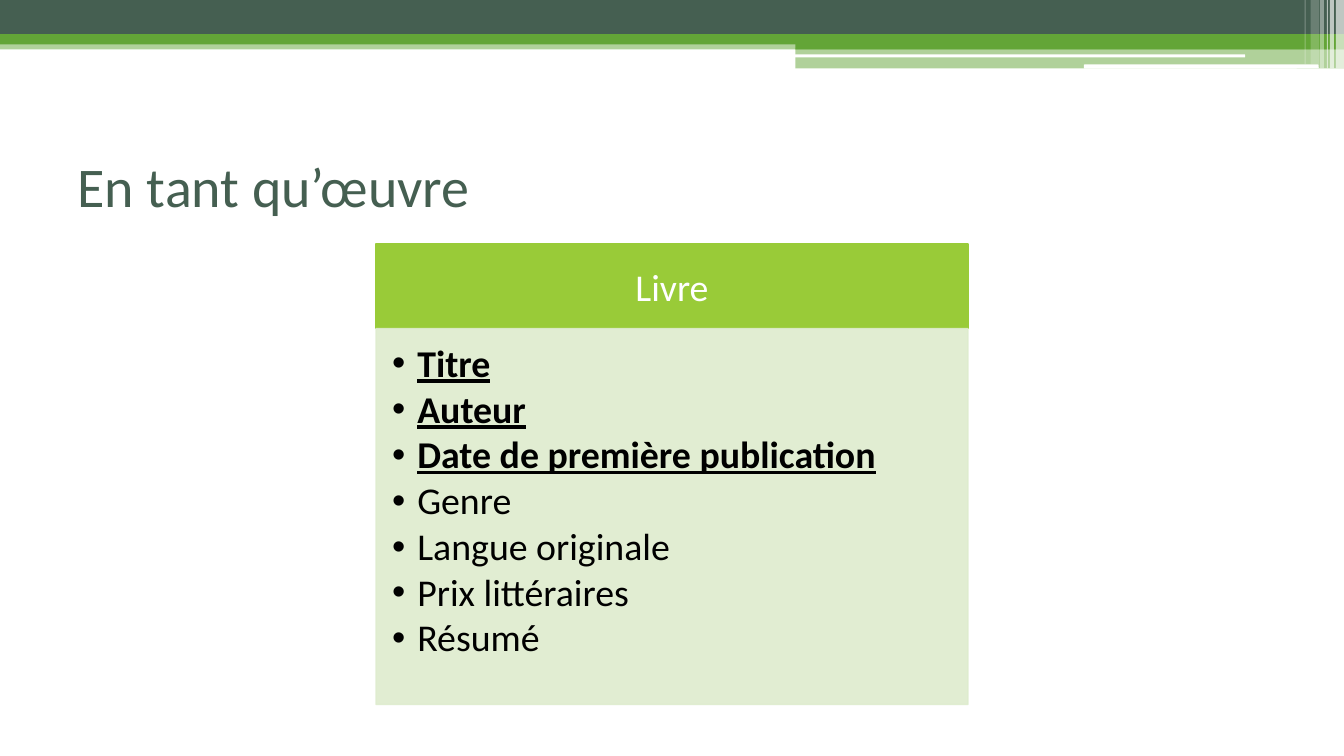
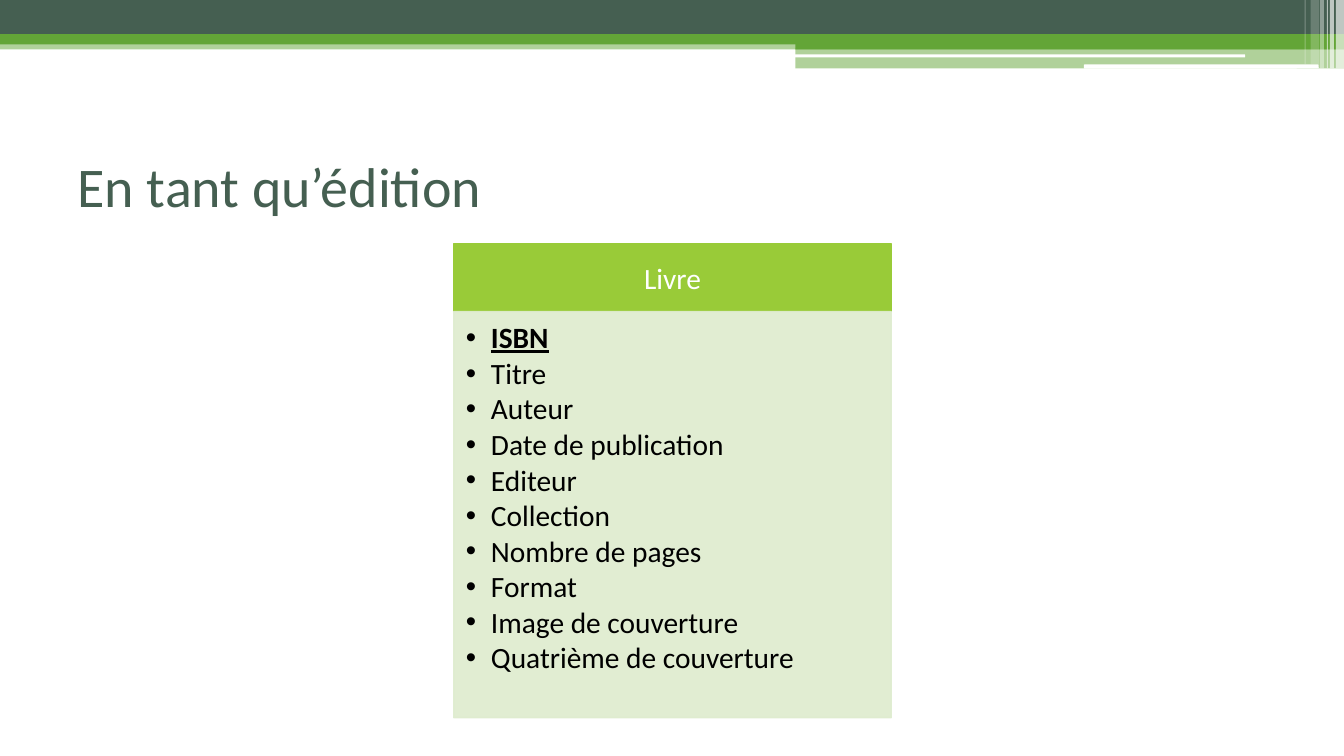
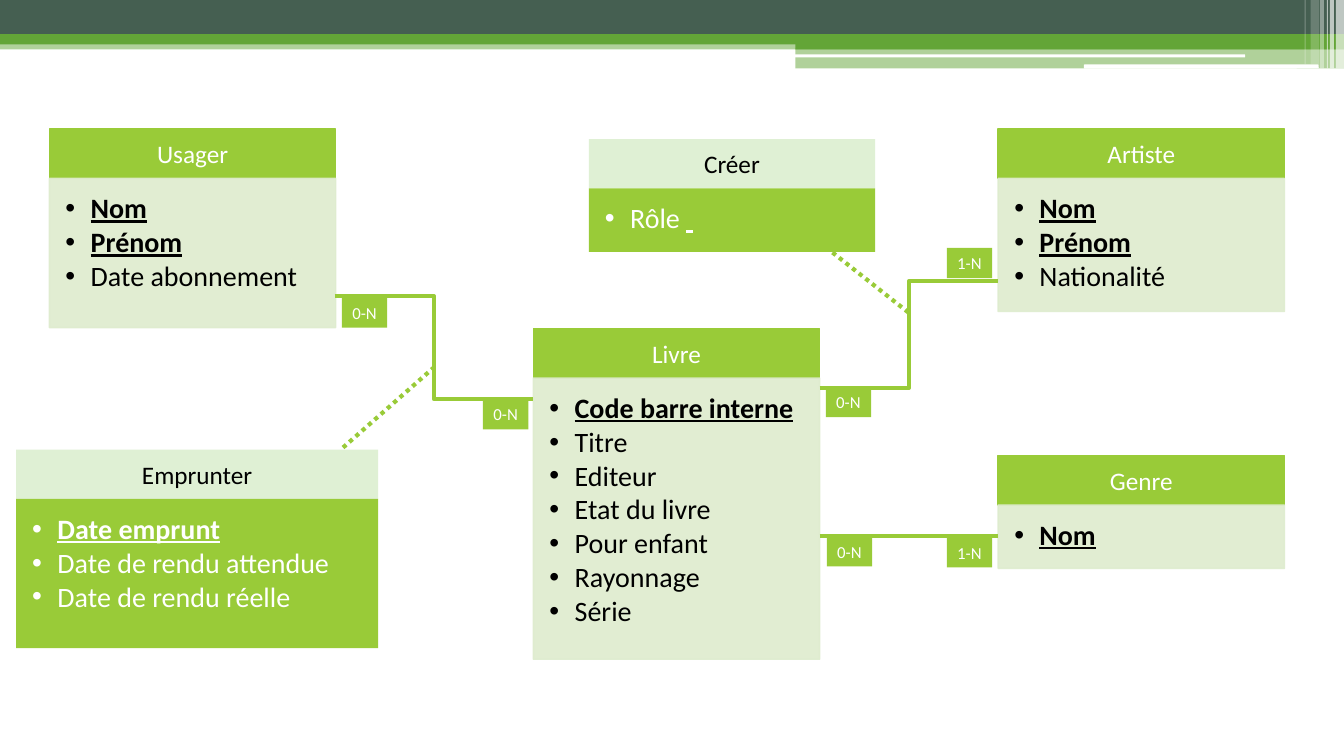
import pptx
import pptx.util
import pptx.dml.color
import pptx.enum.dml
import pptx.enum.shapes
import pptx.enum.text
import pptx.oxml.ns
import lxml.etree

PX = 9144
RGB = pptx.dml.color.RGBColor
DARK = RGB(0x45, 0x5F, 0x51)
LEAF = RGB(0x63, 0xA5, 0x37)
LIME = RGB(0x99, 0xCB, 0x38)
PALE = RGB(0xDE, 0xEC, 0xCE)
MINT = RGB(0xDF, 0xF0, 0xD4)
WHITE = RGB(0xFF, 0xFF, 0xFF)
BLACK = RGB(0, 0, 0)
FONT = "Calibri"
SHAPE = pptx.enum.shapes.MSO_SHAPE
LINK = pptx.enum.shapes.MSO_CONNECTOR
ANCHOR = pptx.enum.text.MSO_ANCHOR
ALIGN = pptx.enum.text.PP_ALIGN

ENTITY = {"head": LIME, "head_ink": WHITE, "body": PALE, "body_ink": BLACK,
          "alpha": 90, "line": True}
ASSOCIATION = {"head": MINT, "head_ink": BLACK, "body": LIME, "body_ink": WHITE,
               "alpha": 100, "line": False}

BANDS = [
    ((0, 40, 1333, 9), LEAF, 50),
    ((0, 0, 1333, 34), DARK, 100),
    ((0, 34, 1333, 10), LEAF, 100),
    ((789, 39, 544, 10), LEAF, 100),
    ((789, 48, 544, 20), LEAF, 50),
]
GROOVES = [(788, 54, 447, 3), (1075, 64, 233, 4)]
STRIPES = [(1325, 8, 68, 65), (1319, 4, 68, 65), (1316, 1, 68, 60),
           (1309, 4, 68, 40), (1300, 8, 64, 20), (1294, 1, 64, 30)]


def px(*values):
    """Turn px lengths into EMU."""
    return [round(v * PX) for v in values]


def apply(target, values):
    """Set every attribute named in a dict."""
    for name, value in values.items():
        setattr(target, name, value)


def sub(parent, tag, **attrs):
    """Append a DrawingML child element."""
    child = lxml.etree.SubElement(parent, pptx.oxml.ns.qn(tag))
    for name, value in attrs.items():
        child.set(name, str(value))
    return child


def block(s, box, color, alpha=100, line=False, kind=SHAPE.RECTANGLE):
    """Add a flat filled shape."""
    sp = s.shapes.add_shape(kind, *px(*box))
    sp.shadow.inherit = False
    sp.fill.solid()
    sp.fill.fore_color.rgb = color
    if line:
        sp.line.color.rgb = color
        sp.line.width = pptx.util.Pt(1)
    else:
        sp.line.fill.background()
    if alpha < 100:
        for clr in list(sp.element.spPr.iter(pptx.oxml.ns.qn("a:srgbClr"))):
            sub(clr, "a:alpha", val=alpha * 1000)
    return sp


def write(p, text, size, color, key=False):
    """Add a run, bold and underlined when it is a key."""
    r = p.add_run()
    r.text = text
    apply(r.font, {"name": FONT, "size": pptx.util.Pt(size),
                   "bold": key, "underline": key})
    r.font.color.rgb = color


def caption(sp, text, size, color):
    """Centre one line of text in a shape."""
    tf = sp.text_frame
    apply(tf, {"word_wrap": False, "vertical_anchor": ANCHOR.MIDDLE})
    p = tf.paragraphs[0]
    p.alignment = ALIGN.CENTER
    write(p, text, size, color)


def attributes(sp, items, size, color, inset):
    """Fill a shape with bullets; what follows an asterisk is a key."""
    tf = sp.text_frame
    left, right, bottom = px(inset, inset * 4 / 3, inset * 1.5)
    apply(tf, {"word_wrap": True, "vertical_anchor": ANCHOR.TOP,
               "margin_left": left, "margin_top": left,
               "margin_right": right, "margin_bottom": bottom})
    for i, item in enumerate(items):
        p = tf.add_paragraph() if i else tf.paragraphs[0]
        apply(p, {"alignment": ALIGN.LEFT, "line_spacing": 0.9,
                  "space_after": pptx.util.Pt(round(size * 0.13, 1))})
        pPr = p._p.get_or_add_pPr()
        apply_indent = {"marL": 25 * PX, "indent": -25 * PX}
        for name, value in apply_indent.items():
            pPr.set(name, str(value))
        sub(pPr, "a:buFont", typeface="Arial")
        sub(pPr, "a:buChar", char="•")
        plain, _, key = item.partition("*")
        if plain:
            write(p, plain, size, color)
        if key:
            write(p, key, size, color, True)


def card(s, box, head, items, look=ENTITY, head_h=49, sizes=(18, 20), inset=16):
    """Draw a named box with its list of attributes."""
    x, y, w, h = box
    sp = block(s, (x, y, w, head_h), look["head"], line=look["line"])
    caption(sp, head, sizes[0], look["head_ink"])
    sp = block(s, (x, y + head_h, w, h - head_h), look["body"],
               look["alpha"], look["line"])
    attributes(sp, items, sizes[1], look["body_ink"], inset)


def link(s, start, end, kind=LINK.STRAIGHT, dotted=False):
    """Join two points with a lime line."""
    c = s.shapes.add_connector(kind, *px(*start, *end))
    c.line.color.rgb = LIME
    c.line.width = pptx.util.Pt(3)
    if dotted:
        c.line.dash_style = pptx.enum.dml.MSO_LINE.ROUND_DOT
    sub(c.element.spPr, "a:effectLst")


def cardinality(s, x, y, text):
    """Draw a small cardinality label."""
    sp = block(s, (x, y, 45, 30), LIME)
    caption(sp, text, 12, WHITE)


def decorate_master(prs, s):
    """Draw the top bands and move them to the slide master."""
    parts = [block(s, *band) for band in BANDS]
    parts += [block(s, box, WHITE, kind=SHAPE.ROUNDED_RECTANGLE) for box in GROOVES]
    parts += [block(s, (x, 0, w, h), WHITE, alpha) for x, w, h, alpha in STRIPES]
    for sp in parts:
        prs.slide_master.shapes.element.append(sp.element)


def title(s, text):
    """Place and format the slide title."""
    sp = s.shapes.title
    left, top, width, height = px(67, 125, 1200, 117)
    apply(sp, {"left": left, "top": top, "width": width, "height": height})
    tf = sp.text_frame
    apply(tf, {"vertical_anchor": ANCHOR.MIDDLE, "word_wrap": True,
               "auto_size": pptx.enum.text.MSO_AUTO_SIZE.NONE})
    p = tf.paragraphs[0]
    p.alignment = ALIGN.LEFT
    write(p, text, 40, DARK)


def card_slide(prs, heading, box, items, head_h, size, inset):
    """Add a titled slide with one large card."""
    s = prs.slides.add_slide(prs.slide_layouts[5])
    title(s, heading)
    card(s, box, "Livre", items, head_h=head_h, sizes=(size, size), inset=inset)
    return s


def diagram_slide(prs):
    """Add the entity and association diagram."""
    s = prs.slides.add_slide(prs.slide_layouts[6])
    card(s, (529, 326, 284, 328), "Livre",
         ["*Code barre interne", "Titre", "Editeur", "Etat du livre",
          "Pour enfant", "Rayonnage", "Série"])
    card(s, (990, 128, 284, 181), "Artiste", ["*Nom", "*Prénom", "Nationalité"])
    card(s, (49, 128, 284, 197), "Usager", ["*Nom", "*Prénom", "Date abonnement"])
    card(s, (990, 452, 284, 112), "Genre", ["*Nom"])
    card(s, (16, 446, 359, 197), "Emprunter",
         ["*Date emprunt", "Date de rendu attendue", "Date de rendu réelle"],
         ASSOCIATION)
    card(s, (584, 138, 284, 112), "Créer", ["Rôle * "], ASSOCIATION)
    link(s, (813, 532), (990, 532))
    link(s, (813, 385), (990, 279), LINK.ELBOW)
    link(s, (332, 294), (529, 396), LINK.ELBOW)
    link(s, (901, 310), (820, 246), dotted=True)
    link(s, (431, 364), (338, 446), dotted=True)
    for x, y, text in [(820, 532, "0-N"), (939, 533, "1-N"), (939, 246, "1-N"),
                       (819, 384, "0-N"), (339, 295, "0-N"), (479, 396, "0-N")]:
        cardinality(s, x, y, text)


def main():
    """Build and save the deck."""
    prs = pptx.Presentation()
    prs.slide_width, prs.slide_height = px(1333, 750)
    s = card_slide(prs, "En tant qu’œuvre", (373, 242, 587, 457),
                   ["*Titre", "*Auteur", "*Date de première publication", "Genre",
                    "Langue originale", "Prix littéraires", "Résumé"], 84, 27, 16)
    decorate_master(prs, s)
    card_slide(prs, "En tant qu’édition", (450, 242, 434, 470),
               ["*ISBN", "Titre", "Auteur", "Date de publication", "Editeur",
                "Collection", "Nombre de pages", "Format", "Image de couverture",
                "Quatrième de couverture"], 67, 21, 12)
    diagram_slide(prs)
    prs.save("out.pptx")


if __name__ == "__main__":
    main()
